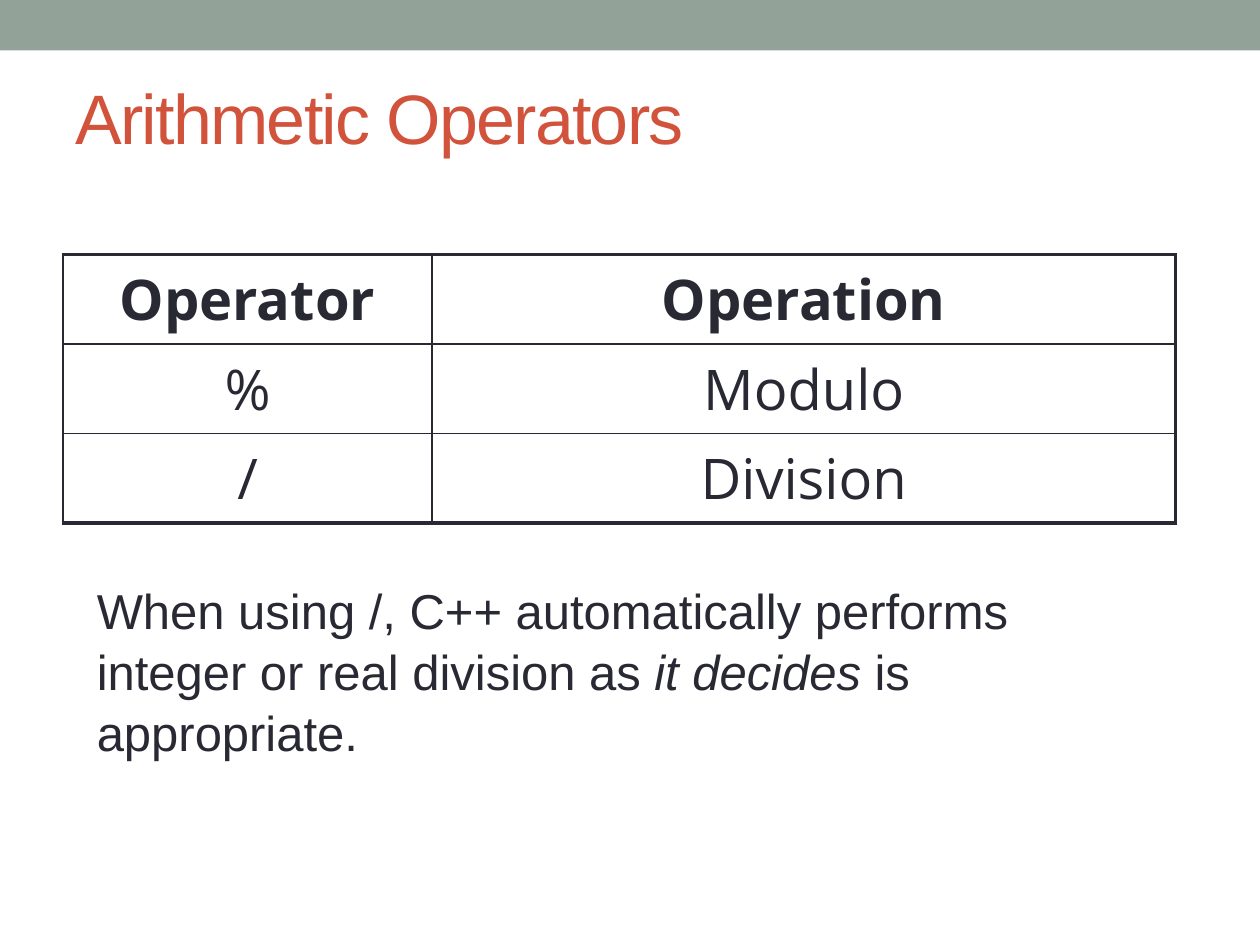
from dataclasses import dataclass

from lxml.etree import SubElement
from pptx import Presentation
from pptx.dml.color import RGBColor
from pptx.enum.shapes import MSO_SHAPE as Shape
from pptx.enum.text import MSO_ANCHOR as Anchor, PP_ALIGN as Align
from pptx.oxml.ns import qn
from pptx.util import Inches, Pt


@dataclass(frozen=True)
class Theme:
    band: str = "93A299"
    title: str = "D2533C"
    ink: str = "292934"
    text_font: str = "Arial"
    table_font: str = "Open Sans"
    title_size: int = 40
    table_size: int = 32
    body_size: int = 28
    thin: float = 1
    thick: float = 2.25


THEME = Theme()
WIDTH, HEIGHT = 10, 7.5
COLUMNS = (2.93, 5.9)
ROW_HEIGHT = 0.71
ROWS = (("Operator", "Operation"), ("%", "Modulo"), ("/", "Division"))


def write(tf, *parts, size, font=THEME.text_font, color=THEME.ink, bold=False,
          align=Align.LEFT, anchor=Anchor.TOP, line=None, tracking=None):
    """Fill a text frame with one paragraph; each part is (text, italic)."""
    tf.word_wrap = True
    tf.vertical_anchor = anchor
    p = tf.paragraphs[0]
    p.alignment = align
    p.line_spacing = line
    for text, italic in parts:
        r = p.add_run()
        r.text = text
        r.font.size, r.font.name = Pt(size), font
        r.font.bold, r.font.italic = bold, italic
        r.font.color.rgb = RGBColor.from_string(color)
        if tracking is not None:
            r.font._element.set("spc", str(int(tracking * 100)))


def add_text(s, box, *parts, **style):
    sp = s.shapes.add_textbox(*map(Inches, box))
    write(sp.text_frame, *parts, **style)


def add_band(s, height):
    sp = s.shapes.add_shape(Shape.RECTANGLE, 0, 0, Inches(WIDTH), Inches(height))
    sp.shadow.inherit = False
    sp.fill.solid()
    sp.fill.fore_color.rgb = RGBColor.from_string(THEME.band)
    sp.line.fill.background()


def set_borders(cell, **widths):
    """Draw borders given as L, R, T, B in points, ahead of the cell's fill."""
    tc_pr = cell._tc.get_or_add_tcPr()
    for i, (side, width) in enumerate(widths.items()):
        ln = SubElement(tc_pr, qn(f"a:ln{side}"), w=str(Pt(width)))
        tc_pr.insert(i, ln)
        fill = SubElement(ln, qn("a:solidFill"))
        SubElement(fill, qn("a:srgbClr"), val=THEME.ink)


def add_operator_table(s, left, top):
    frame = s.shapes.add_table(
        len(ROWS), len(COLUMNS), Inches(left), Inches(top),
        Inches(sum(COLUMNS)), Inches(ROW_HEIGHT * len(ROWS)))
    table = frame.table
    table.horz_banding = False
    for column, width in zip(table.columns, COLUMNS):
        column.width = Inches(width)
    last_row, last_col = len(ROWS) - 1, len(COLUMNS) - 1
    for i, row in enumerate(ROWS):
        table.rows[i].height = Inches(ROW_HEIGHT)
        for j, text in enumerate(row):
            cell = table.cell(i, j)
            cell.fill.background()
            write(cell.text_frame, (text, False), size=THEME.table_size,
                  font=THEME.table_font, bold=i == 0, align=Align.CENTER)
            set_borders(cell, L=THEME.thin,
                        R=THEME.thick if j == last_col else THEME.thin,
                        T=THEME.thick if i == 0 else THEME.thin,
                        B=THEME.thick if i == last_row else THEME.thin)


def main():
    prs = Presentation()
    prs.slide_width, prs.slide_height = Inches(WIDTH), Inches(HEIGHT)
    s = prs.slides.add_slide(prs.slide_layouts[6])
    margin = WIDTH / 20
    add_band(s, 0.4)
    add_text(s, (margin, 0.3, WIDTH - 2 * margin, HEIGHT / 6),
             ("Arithmetic Operators", False), size=THEME.title_size,
             color=THEME.title, anchor=Anchor.MIDDLE, tracking=-1)
    add_operator_table(s, margin, 2.02)
    add_text(s, (0.67, 4.54, 8.27, 1.51),
             ("When using /, C++ automatically performs integer or real "
              "division as ", False),
             ("it decides", True), (" is appropriate.", False),
             size=THEME.body_size, line=1.04)
    prs.save("out.pptx")


if __name__ == "__main__":
    main()
